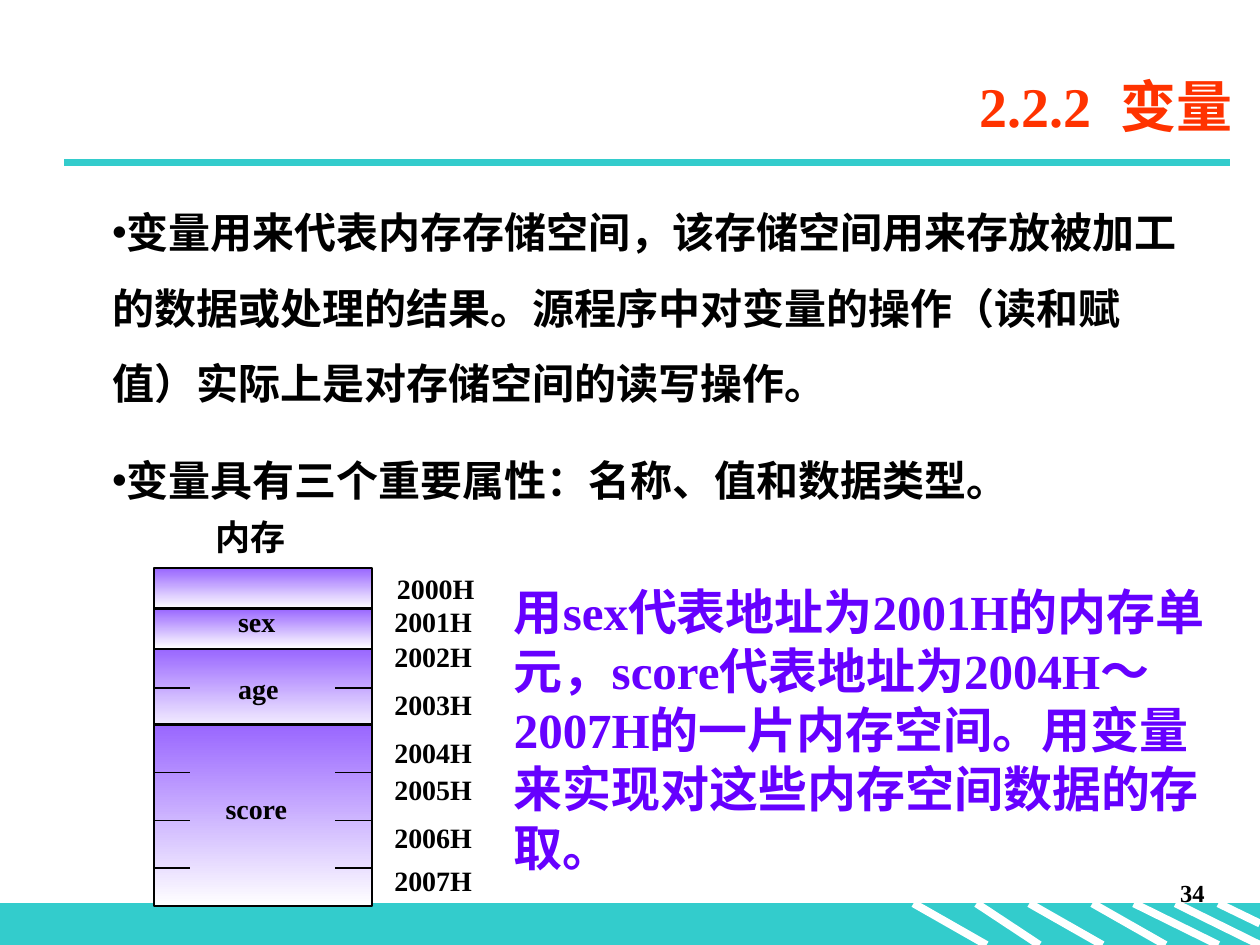
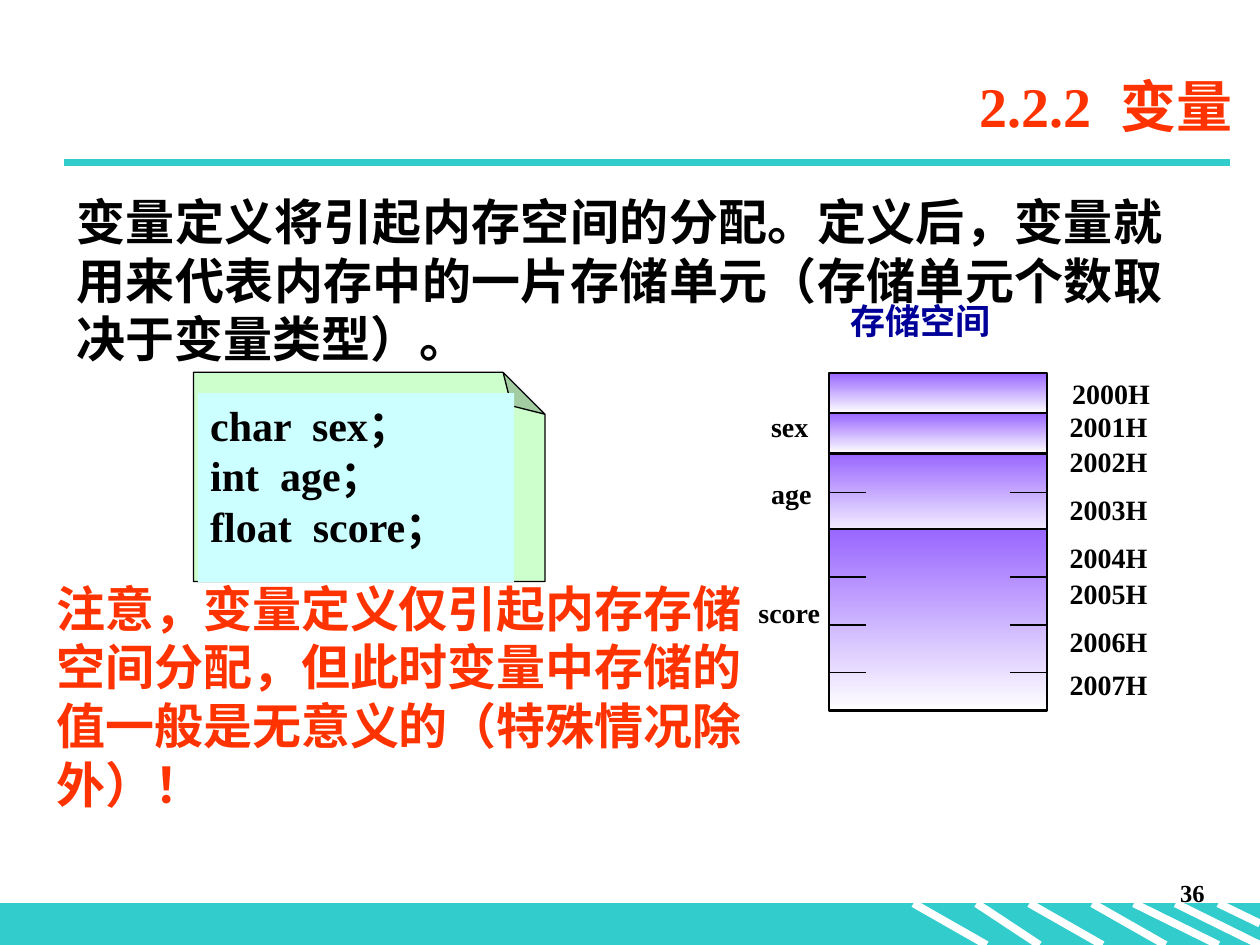
from lxml.etree import SubElement
from pptx import Presentation
from pptx.dml.color import RGBColor
from pptx.enum.shapes import MSO_CONNECTOR, MSO_SHAPE
from pptx.enum.text import MSO_ANCHOR, MSO_AUTO_SIZE, PP_ALIGN
from pptx.oxml.ns import qn
from pptx.util import Pt

# One px is a hundredth of an inch
SCALE = 9144
WIDTH, HEIGHT = 1000, 750

LATIN, HAN = "Times New Roman", "Noto Sans CJK SC"
LEADING = 1.2

BLACK = RGBColor(0x00, 0x00, 0x00)
WHITE = RGBColor(0xFF, 0xFF, 0xFF)
TEAL = RGBColor(0x33, 0xCC, 0xCC)
RED = RGBColor(0xFF, 0x33, 0x00)
NAVY = RGBColor(0x00, 0x00, 0x99)
VIOLET = RGBColor(0x66, 0x00, 0xFF)
LILAC = RGBColor(0x99, 0x66, 0xFF)
GREEN = RGBColor(0xCC, 0xFF, 0xCC)
AQUA = RGBColor(0xCC, 0xFF, 0xFF)

# Footer stripes: left and right end, and the lower end
BAND = 717
STRIPES = [(725, 783, 750), (775, 825, 750), (817, 875, 750), (867, 925, 750),
           (900, 967, 750), (933, 1000, 750), (967, 1000, 733)]

# Memory column, measured from its top left corner
CELL, TICK = 173, 29
CELLS = [(0, 32), (32, 32), (64, 69), (124, 144)]
TICKS = [95, 162, 200, 238]
ROWS = [3, 29, 57, 95, 133, 162, 200, 234]
NAMES = [("sex", 10, 29), ("age", 10, 82), ("score", 0, 177)]


def px(*sizes):
    return [size * SCALE for size in sizes]


def place(shape, box):
    shape.left, shape.top, shape.width, shape.height = px(*box)


def write(frame, lines, size, color, align=PP_ALIGN.LEFT, name=LATIN,
          leading=LEADING, bullet=None, gap=0):
    frame.word_wrap = True
    frame.auto_size = MSO_AUTO_SIZE.NONE
    frame.text = "\n".join(lines)
    for index, para in enumerate(frame.paragraphs):
        para.alignment = align
        para.line_spacing = Pt(size * leading)
        para.space_before = Pt(gap if index else 0)
        props = para._p.get_or_add_pPr()
        if bullet:
            props.set("marL", "0")
            props.set("indent", "0")
            SubElement(props, qn("a:buChar")).set("char", bullet)
        font = para.font
        font.size, font.bold, font.name = Pt(size), True, name
        font.color.rgb = color
        chars = props.find(qn("a:defRPr"))
        SubElement(chars, qn("a:ea")).set("typeface", HAN)


def text(slide, box, line, size, color=BLACK, align=PP_ALIGN.LEFT, inset=True):
    frame = slide.shapes.add_textbox(*px(*box)).text_frame
    if not inset:
        frame.margin_left = frame.margin_right = 0
        frame.margin_top = frame.margin_bottom = 0
    write(frame, [line], size, color, align)


def line(slide, start, end, color, width):
    link = slide.shapes.add_connector(
        MSO_CONNECTOR.STRAIGHT, *px(*start, *end))
    link.line.color.rgb = color
    link.line.width = Pt(width)
    SubElement(link._element.spPr, qn("a:effectLst"))


def block(slide, box, fill, edge=None, width=0.75, kind=MSO_SHAPE.RECTANGLE):
    shape = slide.shapes.add_shape(kind, *px(*box))
    shape.shadow.inherit = False
    shape.fill.solid()
    shape.fill.fore_color.rgb = fill
    if edge is None:
        shape.line.fill.background()
    else:
        shape.line.color.rgb = edge
        shape.line.width = Pt(width)
    return shape


def shade(shape):
    shape.fill.gradient()
    shape.fill.gradient_angle = 270
    for stop, color, spot in zip(shape.fill.gradient_stops, (LILAC, WHITE), (0, 1)):
        stop.color.rgb = color
        stop.position = spot


def fold(shape, size):
    """Set the corner of a folded sheet, in thousandths of a percent."""
    guides = next(shape._element.iter(qn("a:avLst")))
    guide = SubElement(guides, qn("a:gd"))
    guide.set("name", "adj")
    guide.set("fmla", f"val {size}")


def frame(deck, layout, number):
    """Add a slide with the band, rule, title and page number."""
    slide = deck.slides.add_slide(deck.slide_layouts[layout])
    block(slide, (0, BAND, WIDTH, HEIGHT - BAND), TEAL, TEAL)
    for left, right, low in STRIPES:
        line(slide, (left, BAND), (right, low), WHITE, 4.5)
    line(slide, (51, 129), (976, 129), TEAL, 4.5)
    title = slide.shapes.title
    place(title, (138, 44, 850, 79))
    title.text_frame.vertical_anchor = MSO_ANCHOR.MIDDLE
    write(title.text_frame, ["2.2.2  变量"], 32, RED, PP_ALIGN.RIGHT)
    text(slide, (758, 692, 208, 50), str(number), 14, align=PP_ALIGN.RIGHT)
    return slide


def memory(slide, left, top, shift):
    """Draw the memory column; shift places the variable names."""
    for drop, height in CELLS:
        shade(block(slide, (left, top + drop, CELL, height), WHITE, BLACK, 1.25))
    for drop in TICKS:
        for start in (left, left + CELL - TICK):
            line(slide, (start, top + drop), (start + TICK, top + drop), BLACK, 0.75)
    for index, drop in enumerate(ROWS):
        side = left + (191 if index else 193)
        text(slide, (side, top + drop, 70, 27), f"{2000 + index}H", 16, inset=False)
    for name, indent, drop in NAMES:
        text(slide, (left + shift + indent, top + drop, 60, 27), name, 16, inset=False)


def usage(deck):
    slide = frame(deck, 1, 34)
    body = slide.placeholders[1]
    place(body, (79, 139, 871, 273))
    write(body.text_frame, [
        "变量用来代表内存存储空间，该存储空间用来存放被加工的数据或处理的结果。"
        "源程序中对变量的操作（读和赋值）实际上是对存储空间的读写操作。",
        "变量具有三个重要属性：名称、值和数据类型。",
    ], 24, BLACK, name=HAN, leading=1.5 * LEADING, bullet="•", gap=12)
    memory(slide, 122, 451, 57)
    text(slide, (161, 404, 236, 43), "内存", 20)
    text(slide, (398, 457, 575, 244),
         "用sex代表地址为2001H的内存单元，score代表地址为2004H～2007H的一片内存空间。"
         "用变量来实现对这些内存空间数据的存取。", 28, VIOLET)


def define(deck):
    slide = frame(deck, 5, 36)
    text(slide, (35, 454, 583, 197),
         "注意，变量定义仅引起内存存储空间分配，但此时变量中存储的值"
         "一般是无意义的（特殊情况除外）！", 28, RED)
    text(slide, (51, 147, 882, 150),
         "变量定义将引起内存空间的分配。定义后，变量就用来代表内存中的一片存储单元"
         "（存储单元个数取决于变量类型）。", 28, align=PP_ALIGN.JUSTIFY)
    memory(slide, 658, 296, -56)
    text(slide, (665, 233, 236, 43), "存储空间", 20, NAVY)
    # Code on a folded sheet
    sheet = block(slide, (210, 239, 166, 279), GREEN, BLACK,
                  kind=MSO_SHAPE.FOLDED_CORNER)
    sheet.rotation = 270
    fold(sheet, 20000)
    code = block(slide, (157, 312, 251, 150), AQUA).text_frame
    code.vertical_anchor = MSO_ANCHOR.TOP
    write(code, ["char  sex；", "int  age；", "float  score；"], 24, BLACK,
          PP_ALIGN.JUSTIFY)


def main():
    deck = Presentation()
    deck.slide_width, deck.slide_height = px(WIDTH, HEIGHT)
    usage(deck)
    define(deck)
    deck.save("out.pptx")


if __name__ == "__main__":
    main()
